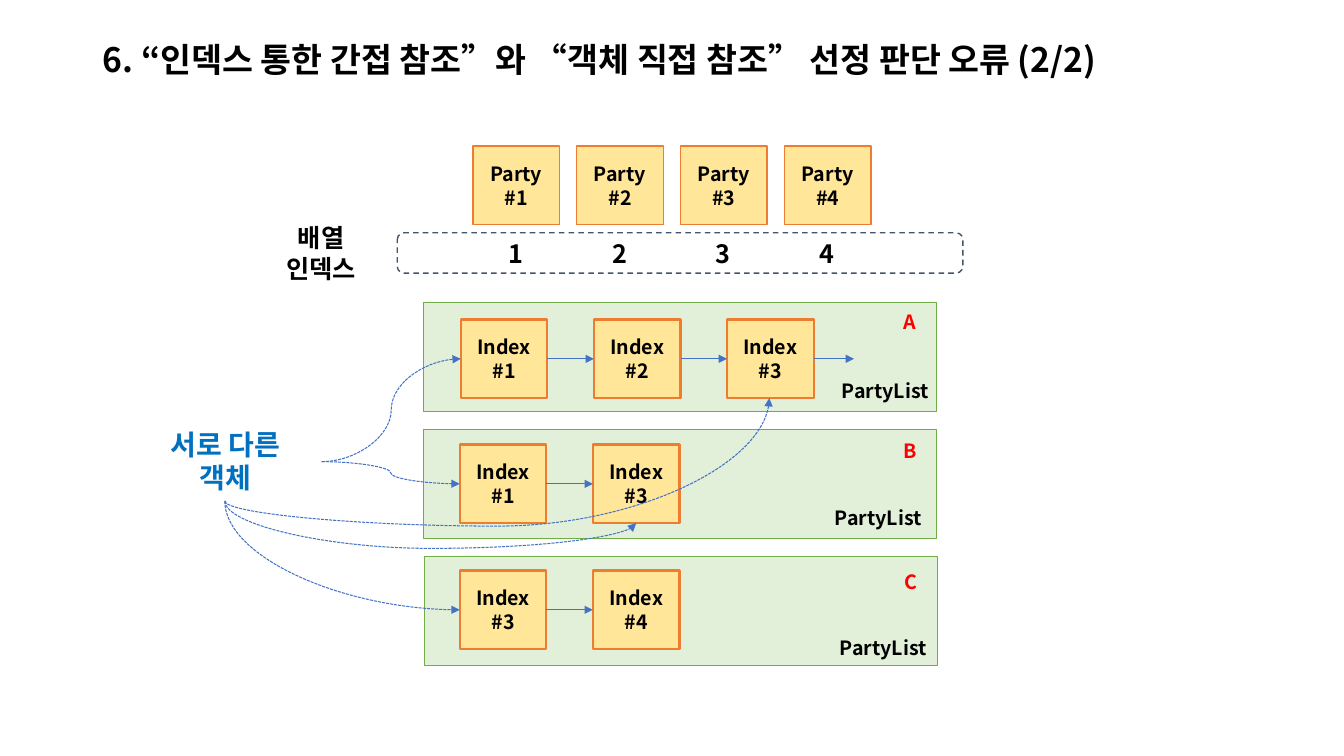
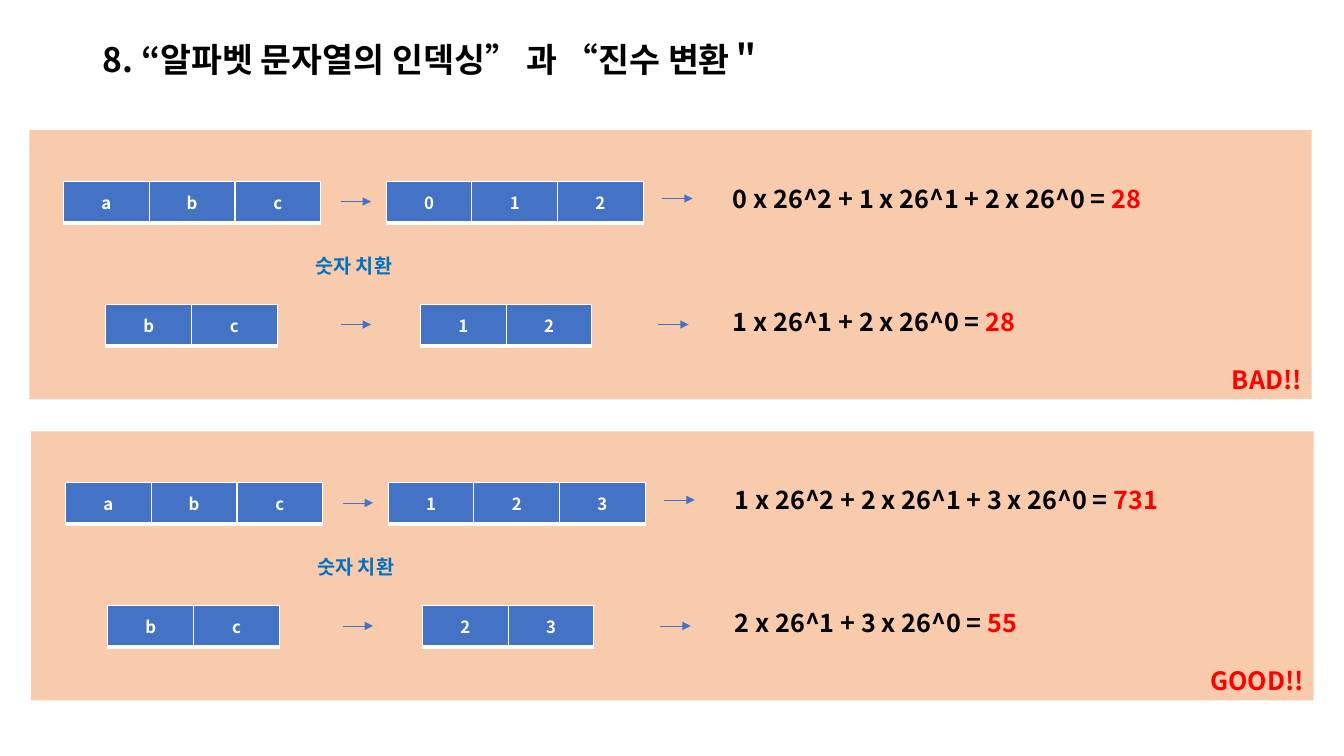
import lxml.etree
import pptx
import pptx.dml.color
import pptx.enum.dml
import pptx.enum.shapes
import pptx.enum.text
import pptx.oxml.ns
import pptx.util

Inches = pptx.util.Inches
Pt = pptx.util.Pt
SHAPE = pptx.enum.shapes.MSO_SHAPE
LINK = pptx.enum.shapes.MSO_CONNECTOR
ALIGN = pptx.enum.text.PP_ALIGN
ANCHOR = pptx.enum.text.MSO_ANCHOR
DASH = pptx.enum.dml.MSO_LINE
FONT = "Noto Sans CJK KR"
COLORS = {
    "black": "000000", "white": "FFFFFF", "red": "FF0000", "sky": "0070C0",
    "blue": "4472C4", "slate": "44546A", "gold": "FFE699", "orange": "ED7D31",
    "mint": "E2F0D9", "green": "70AD47", "peach": "F8CBAD",
}


def tint(name):
    """Return the named colour."""
    return pptx.dml.color.RGBColor.from_string(COLORS[name])


def child(parent, tag, **attrs):
    """Append a drawing element to its parent."""
    return lxml.etree.SubElement(parent, pptx.oxml.ns.qn(tag), **attrs)


def style(run, size, color):
    """Set the font of one run."""
    font = run.font
    font.size, font.bold, font.name = Pt(size), True, FONT
    font.color.rgb = tint(color)
    child(run.font._element if hasattr(run.font, "_element") else run._r.get_or_add_rPr(),
          "a:ea", typeface=FONT)


def write(frame, text, size, color="black", align=ALIGN.CENTER, anchor=ANCHOR.TOP, wrap=True):
    """Fill a text frame with evenly styled lines."""
    frame.text = text
    frame.word_wrap = wrap
    frame.vertical_anchor = anchor
    for para in frame.paragraphs:
        para.alignment = align
        for run in para.runs:
            style(run, size, color)


def note(slide, box, text, size, **looks):
    """Add a text box."""
    shape = slide.shapes.add_textbox(*map(Inches, box))
    write(shape.text_frame, text, size, **looks)
    return shape


def block(slide, box, fill=None, line=None, width=1, kind=SHAPE.RECTANGLE):
    """Add a plain shape with an optional fill and outline."""
    shape = slide.shapes.add_shape(kind, *map(Inches, box))
    shape.shadow.inherit = False
    if fill:
        shape.fill.solid()
        shape.fill.fore_color.rgb = tint(fill)
    else:
        shape.fill.background()
    if line:
        shape.line.color.rgb = tint(line)
        shape.line.width = Pt(width)
    else:
        shape.line.fill.background()
    return shape


def card(slide, left, top, text, width):
    """Add a gold card with centred text."""
    shape = block(slide, (left, top, 0.86, 0.78), "gold", "orange", width)
    write(shape.text_frame, text, 14, anchor=ANCHOR.MIDDLE)
    return shape


def arrow(slide, start, end, kind=LINK.STRAIGHT, width=0.5, dash=None):
    """Add a blue connector with an arrowhead at its end."""
    link = slide.shapes.add_connector(kind, *map(Inches, start + end))
    link.line.color.rgb = tint("blue")
    link.line.width = Pt(width)
    if dash:
        link.line.dash_style = dash
    props = link.element.find(pptx.oxml.ns.qn("p:spPr"))
    child(props.find(pptx.oxml.ns.qn("a:ln")), "a:tailEnd", type="triangle")
    child(props, "a:effectLst")
    return link


def curve(slide, start, end):
    """Add a dashed curve that leaves sideways."""
    return arrow(slide, start, end, LINK.CURVE, 0.75, DASH.SQUARE_DOT)


def swoop(slide, start, end, dip=None):
    """Add a dashed curve that leaves downwards, turning at height dip."""
    link = curve(slide, start, end)
    wide, high = abs(end[0] - start[0]), abs(end[1] - start[1])
    link.left = Inches((start[0] + end[0] - high) / 2)
    link.top = Inches((start[1] + end[1] - wide) / 2)
    link.width, link.height = Inches(high), Inches(wide)
    props = link.element.find(pptx.oxml.ns.qn("p:spPr"))
    frame = props.find(pptx.oxml.ns.qn("a:xfrm"))
    rises = end[1] < start[1]
    frame.set("rot", str((90 if rises else 270) * 60000))
    frame.set("flipH", "1")
    frame.set("flipV", "1" if rises else "0")
    shape = props.find(pptx.oxml.ns.qn("a:prstGeom"))
    if dip is None:
        shape.set("prst", "curvedConnector2")
    else:
        ratio = (dip - start[1]) / (end[1] - start[1])
        guides = shape.find(pptx.oxml.ns.qn("a:avLst"))
        child(guides, "a:gd", name="adj1", fmla=f"val {round(ratio * 100000)}")


def page(deck, text):
    """Add a slide with the shared title style."""
    slide = deck.slides.add_slide(deck.slide_layouts[5])
    title = slide.shapes.title
    title.left, title.top, title.width, title.height = map(Inches, (0.92, 0.22, 11.5, 0.78))
    write(title.text_frame, text, 24, align=ALIGN.LEFT, anchor=ANCHOR.MIDDLE)
    title.text_frame.auto_size = pptx.enum.text.MSO_AUTO_SIZE.NONE
    title.text_frame.paragraphs[0].line_spacing = 0.9
    return slide


def array(slide, left, top):
    """Draw the party cards above their index strip."""
    for step in range(4):
        spot = left + 0.75 + 1.03 * step
        card(slide, spot, top, f"Party\n#{step + 1}", 1)
        note(slide, (spot + 0.25, top + 0.87, 0.35, 0.4), str(step + 1), 18, wrap=False)
    strip = block(slide, (left, top + 0.86, 5.61, 0.4), None, "slate", 1, SHAPE.ROUNDED_RECTANGLE)
    strip.line.dash_style = DASH.DASH
    note(slide, (left - 1.34, top + 0.71, 1.17, 0.71), "배열\n인덱스", 18)


def band(slide, left, top, mark, marktop, tag, first, nums):
    """Draw one party list with its chain of index cards."""
    block(slide, (left, top, 5.09, 1.08), "mint", "green")
    note(slide, (left + 4.56, top + marktop, 0.53, 0.48), mark, 14,
         color="red", anchor=ANCHOR.MIDDLE)
    note(slide, (left + tag[0], top + tag[1], 1.38, 0.34), "PartyList", 14, align=ALIGN.RIGHT)
    cards = [card(slide, left + first[0] + 1.32 * step, top + first[1], f"Index\n#{num}", 1.5)
             for step, num in enumerate(nums)]
    for one, two in zip(cards, cards[1:]):
        link = arrow(slide, (left, top), (left + 1, top))
        link.begin_connect(one, 3)
        link.end_connect(two, 1)
    return cards


def refer(deck):
    """Build the slide on index references."""
    slide = page(deck, "6. “인덱스 통한 간접 참조”와 “객체 직접 참조” 선정 판단 오류 (2/2)")
    array(slide, 3.94, 1.45)
    chain = band(slide, 4.2, 3, "A", -0.05, (3.73, 0.71), (0.37, 0.17), (1, 2, 3))
    band(slide, 4.2, 4.26, "B", -0.03, (3.66, 0.71), (0.36, 0.15), (1, 3))
    band(slide, 4.21, 5.52, "C", 0.01, (3.7, 0.74), (0.35, 0.14), (3, 4))
    arrow(slide, (8.07, 3.56), (8.47, 3.56)).begin_connect(chain[-1], 3)
    note(slide, (1.28, 4.18, 1.91, 0.78), "서로 다른\n객체", 20, color="sky", anchor=ANCHOR.MIDDLE)
    for end in ((4.57, 3.56), (4.56, 4.8)):
        curve(slide, (3.19, 4.58), end)
    for end, dip in (((4.56, 6.05), None), ((6.31, 5.19), 5.44), ((7.63, 3.95), 5.22)):
        swoop(slide, (2.23, 4.97), end, dip)


def cells(slide, left, top, texts):
    """Draw a one-row table of blue cells."""
    count = len(texts)
    frame = slide.shapes.add_table(1, count, *map(Inches, (left, top, 0.85 * count, 0.41)))
    frame.table.horz_banding = False
    for cell, text in zip(frame.table.iter_cells(), texts):
        write(cell.text_frame, text, 12, "white")
        cell.vertical_anchor = ANCHOR.MIDDLE
        props = cell._tc.get_or_add_tcPr()
        for side, width in zip("LRTB", (1, 1, 1, 3)):
            edge = child(props, f"a:ln{side}", w=str(Pt(width)))
            child(child(edge, "a:solidFill"), "a:srgbClr", val=COLORS["white"])
        cell.fill.solid()
        cell.fill.fore_color.rgb = tint("blue")


def panel(slide, left, top, verdict, rows):
    """Draw one panel that turns letters into numbers."""
    back = block(slide, (left, top, 12.72, 2.67), "peach")
    write(back.text_frame, verdict, 18, "red", ALIGN.RIGHT, ANCHOR.BOTTOM)
    places = ((0.51, 0.34, 3.54, 6.28, 0.68), (1.73, 0.76, 3.88, 6.24, 1.93))
    for (down, one, two, tail, mid), (word, digits, sums, total) in zip(places, rows):
        cells(slide, left + one, top + down, word)
        cells(slide, left + two, top + down, digits)
        for over, drop in ((3.09, down + 0.2), (tail, mid)):
            spot = left + over
            arrow(slide, (spot, top + drop), (spot + 0.3, top + drop))
        box = note(slide, (left + 6.88, top + down - 0.03, 4.97, 0.4), sums, 18, align=ALIGN.LEFT)
        run = box.text_frame.paragraphs[0].add_run()
        run.text = total
        style(run, 18, "red")
    note(slide, (left + 2.74, top + 1.18, 1.06, 0.34), "숫자 치환", 14,
         color="sky", align=ALIGN.LEFT, wrap=False)


def convert(deck):
    """Build the slide on base conversion."""
    slide = page(deck, "8. “알파벳 문자열의 인덱싱” 과 “진수 변환＂")
    panel(slide, 0.29, 1.29, "BAD!!", (
        ("abc", "012", "0 x 26^2 + 1 x 26^1 + 2 x 26^0 = ", "28"),
        ("bc", "12", "1 x 26^1 + 2 x 26^0 = ", "28")))
    panel(slide, 0.31, 4.28, "GOOD!!", (
        ("abc", "123", "1 x 26^2 + 2 x 26^1 + 3 x 26^0 = ", "731"),
        ("bc", "23", "2 x 26^1 + 3 x 26^0 = ", "55")))


def main():
    """Build and save the deck."""
    deck = pptx.Presentation()
    deck.slide_width, deck.slide_height = Inches(13.33), Inches(7.5)
    refer(deck)
    convert(deck)
    deck.save("out.pptx")


if __name__ == "__main__":
    main()
